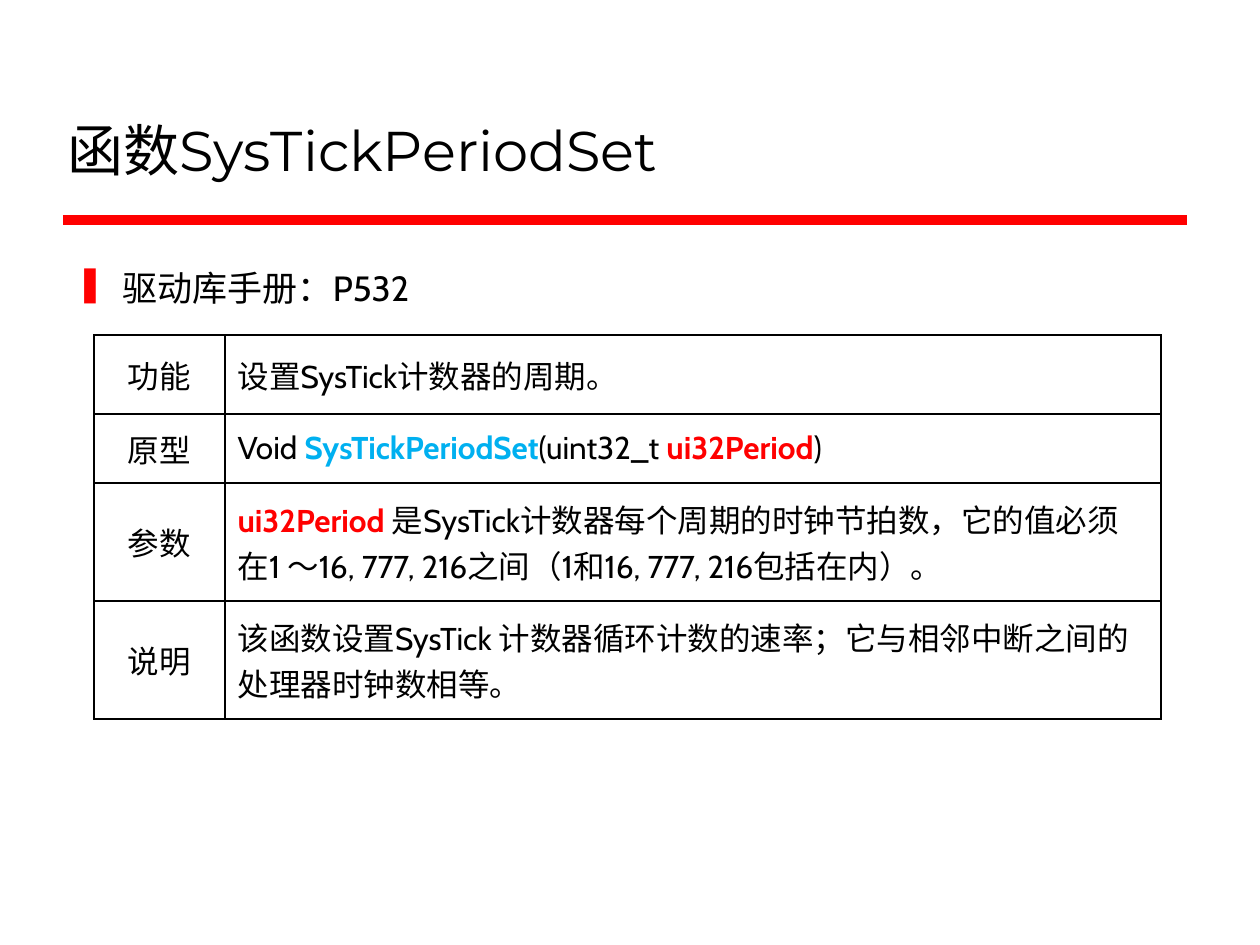
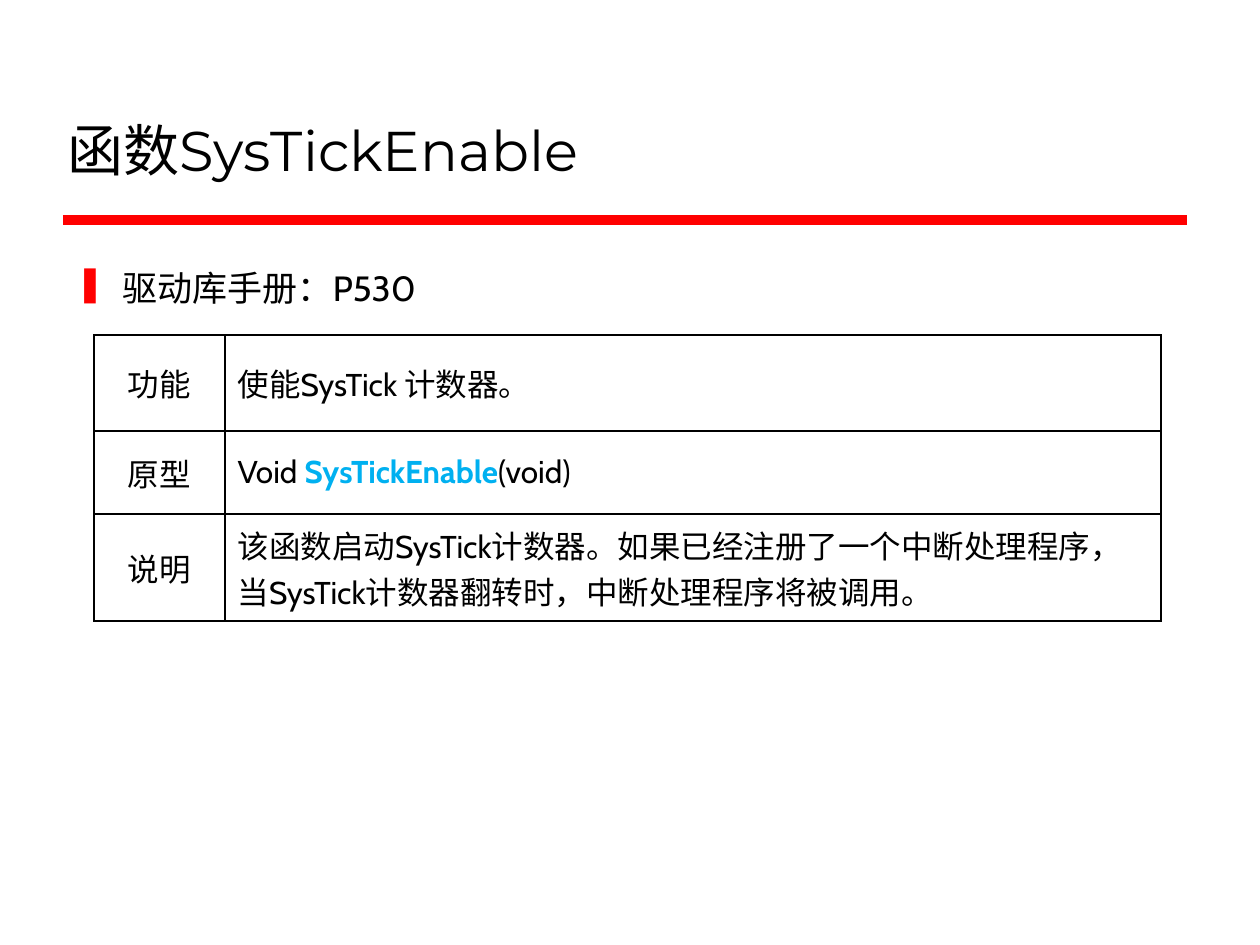
import pptx
import pptx.util
import pptx.dml.color
import pptx.enum.shapes
import pptx.enum.text
import pptx.oxml.ns
import lxml.etree
from dataclasses import dataclass

PX = 914400 // 126
qn = pptx.oxml.ns.qn
RGB = pptx.dml.color.RGBColor.from_string
Pt = pptx.util.Pt
ANCHOR = pptx.enum.text.MSO_ANCHOR
ALIGN = pptx.enum.text.PP_ALIGN


@dataclass
class Theme:
    black: str = "000000"
    white: str = "FFFFFF"
    red: str = "FF0000"
    blue: str = "00B0F0"
    heading: str = "Montserrat"
    serif: str = "Times New Roman"
    body: str = "Cabin"
    title_size: int = 32
    body_size: int = 20
    cell_size: int = 18
    rule_width: int = 6


T = Theme()


def add_run(p, text, size, font=T.body, color=T.black, bold=False):
    r = p.add_run()
    r.text = text
    r.font.size = Pt(size)
    r.font.name = font
    r.font.bold = bold
    r.font.color.rgb = RGB(color)


def add_box(s, left, top, width, height, anchor):
    tf = s.shapes.add_textbox(left * PX, top * PX, width * PX, height * PX).text_frame
    tf.word_wrap = True
    tf.vertical_anchor = anchor
    return tf.paragraphs[0]


pages = [
    {
        "title": [("函数SysTickPeriodSet", T.heading)],
        "manual": "驱动库手册：P532",
        "rows": [
            (79, "功能", [("设置SysTick计数器的周期。",)]),
            (69, "原型", [
                ("Void ",),
                ("SysTickPeriodSet", T.blue),
                ("(uint32_t ",),
                ("ui32Period", T.red),
                (")",),
            ]),
            (118, "参数", [
                ("ui32Period ", T.red),
                ("是SysTick计数器每个周期的时钟节拍数，它的值必须在1 ～16, 777, 216之间"
                 "（1和16, 777, 216包括在内）。",),
            ]),
            (118, "说明", [
                ("该函数设置SysTick 计数器循环计数的速率；它与相邻中断之间的处理器时钟数相等。",),
            ]),
        ],
    },
    {
        "title": [("函数", T.serif), ("SysTickEnable", T.heading)],
        "manual": "驱动库手册：P530",
        "rows": [
            (96, "功能", [("使能SysTick 计数器。",)]),
            (83, "原型", [("Void ",), ("SysTickEnable", T.blue), ("(void)",)]),
            (107, "说明", [
                ("该函数启动SysTick计数器。如果已经注册了一个中断处理程序，"
                 "当SysTick计数器翻转时，中断处理程序将被调用。",),
            ]),
        ],
    },
]
columns = [131, 936]

prs = pptx.Presentation()
prs.slide_width = 1260 * PX
prs.slide_height = 945 * PX

for page in pages:
    s = prs.slides.add_slide(prs.slide_layouts[6])

    rule = s.shapes.add_connector(
        pptx.enum.shapes.MSO_CONNECTOR.STRAIGHT, 63 * PX, 220 * PX, 1187 * PX, 220 * PX)
    rule.line.color.rgb = RGB(T.red)
    rule.line.width = Pt(T.rule_width)
    lxml.etree.SubElement(rule._element.spPr, qn("a:effectLst"))

    p = add_box(s, 55, 32, 1130, 157, ANCHOR.BOTTOM)
    for text, font in page["title"]:
        add_run(p, text, T.title_size, font)

    p = add_box(s, 63, 260, 1126, 575, ANCHOR.TOP)
    p.space_before = Pt(T.body_size * 0.2)
    pPr = p._p.get_or_add_pPr()
    pPr.set("marL", str(47 * PX))
    pPr.set("indent", str(-47 * PX))
    bullet_color = lxml.etree.SubElement(pPr, qn("a:buClr"))
    lxml.etree.SubElement(bullet_color, qn("a:srgbClr"), val=T.red)
    lxml.etree.SubElement(pPr, qn("a:buChar"), char="❚")
    add_run(p, page["manual"], T.body_size)

    rows = page["rows"]
    heights = [row[0] for row in rows]
    table = s.shapes.add_table(
        len(rows), len(columns), 94 * PX, 335 * PX, sum(columns) * PX, sum(heights) * PX).table
    table.first_row = False
    table.horz_banding = False
    for column, width in zip(table.columns, columns):
        column.width = width * PX

    for i, (height, label, runs) in enumerate(rows):
        table.rows[i].height = height * PX
        for j, content in enumerate([[(label,)], runs]):
            cell = table.cell(i, j)
            cell.vertical_anchor = ANCHOR.MIDDLE
            p = cell.text_frame.paragraphs[0]
            if j == 0:
                p.alignment = ALIGN.CENTER
            elif i == 0:
                p.space_before = p.space_after = Pt(6)
            for text, *accent in content:
                color = accent[0] if accent else T.black
                add_run(p, text, T.cell_size, color=color, bold=bool(accent))
            tcPr = cell._tc.get_or_add_tcPr()
            for side in ("lnL", "lnR", "lnT", "lnB"):
                ln = lxml.etree.SubElement(tcPr, qn("a:" + side), w=str(Pt(1)))
                fill = lxml.etree.SubElement(ln, qn("a:solidFill"))
                lxml.etree.SubElement(fill, qn("a:srgbClr"), val=T.black)
            cell.fill.solid()
            cell.fill.fore_color.rgb = RGB(T.white)

prs.save("out.pptx")
